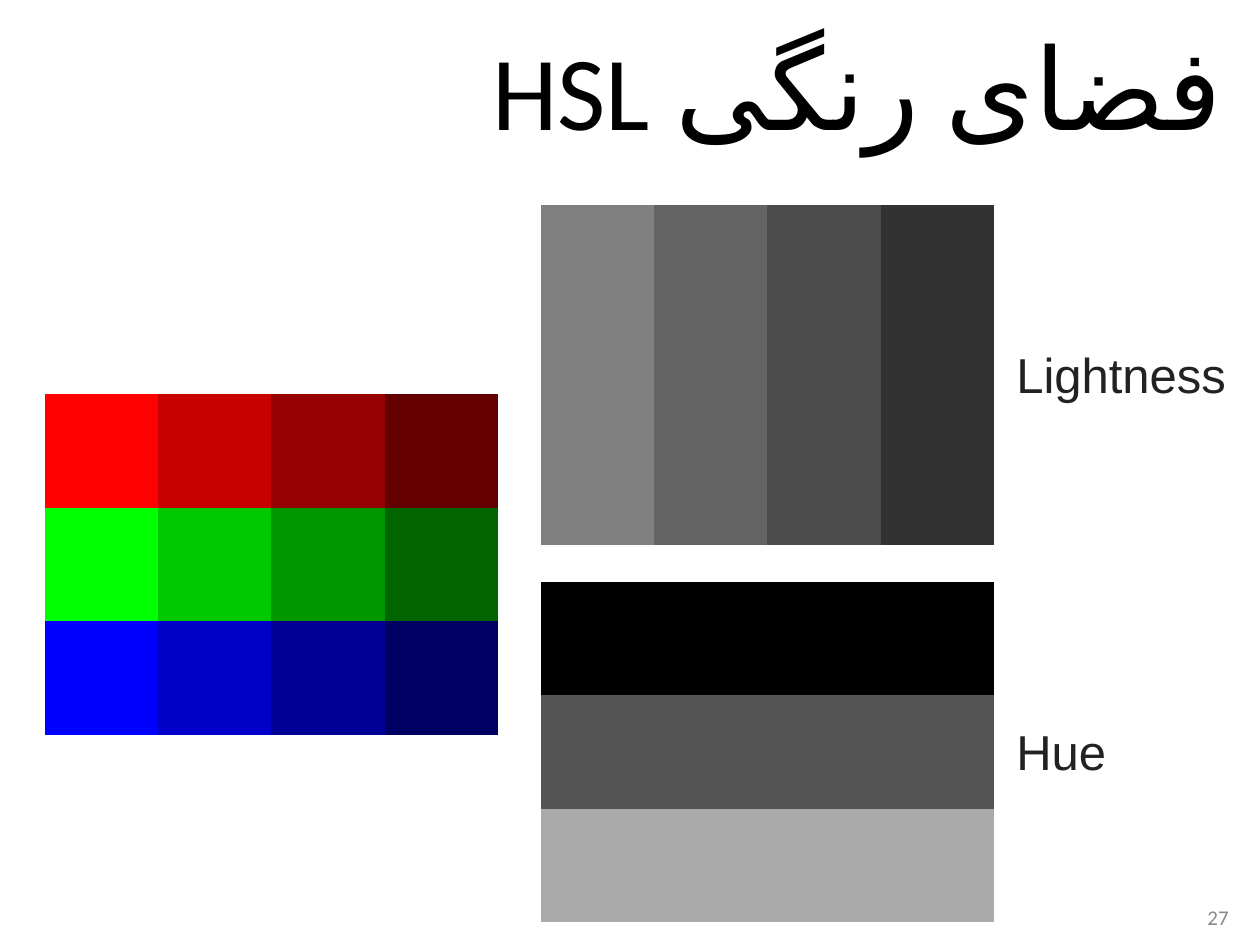
"""Builds the slide on the HSL colour space with its lightness and hue grids."""
from lxml.etree import SubElement
from pptx import Presentation
from pptx.dml.color import RGBColor
from pptx.enum.lang import MSO_LANGUAGE_ID as Language
from pptx.enum.text import MSO_ANCHOR as Anchor, MSO_AUTO_SIZE as AutoSize, PP_ALIGN as Align
from pptx.oxml.ns import qn
from pptx.util import Cm, Pt

BLACK = RGBColor(0x00, 0x00, 0x00)
LABEL_INK = RGBColor(0x22, 0x22, 0x22)
NUMBER_GRAY = RGBColor(0x89, 0x89, 0x89)
REDS = [RGBColor(0xFF, 0x01, 0x01)] + [RGBColor(v, 0, 0) for v in (200, 150, 100)]
GREENS = [RGBColor(0, v, 0) for v in (255, 200, 150, 100)]
BLUES = [RGBColor(0, 0, v) for v in (255, 200, 150, 100)]
LIGHTNESS_GRAYS = [RGBColor(v, v, v) for v in (0x80, 0x64, 0x4B, 0x32)]
HUE_GRAYS = [RGBColor(v, v, v) for v in (0x00, 0x55, 0xAA)]

GRID_WIDTH, GRID_HEIGHT = 9.14, 6.86
GRID_LEFT = 10.9
LABEL_LEFT = 20.24
PLAIN_TABLE = "{2D5ABB26-0587-4C30-8999-92F81FD0307C}"


class SlideBuilder:
    """Holds the fonts and the current slide."""

    heading_font = "Calibri"
    label_font = "Arial"

    def __init__(self, slide):
        self.slide = slide

    def title(self, persian, latin):
        title = self.slide.shapes.title
        title.left, title.top, title.width, title.height = Cm(-0.05), Cm(0.13), Cm(25.45), Cm(3.18)
        frame = title.text_frame
        frame.auto_size = AutoSize.NONE
        frame.vertical_anchor = Anchor.MIDDLE
        heading = frame.paragraphs[0]
        heading.alignment = Align.JUSTIFY
        properties = heading._p.get_or_add_pPr()
        properties.set("rtl", "1")
        properties.set("marL", str(Cm(0.5)))
        properties.set("indent", "0")
        for words, size, language in (
            (persian, 65, Language.FARSI),
            (latin, 60, Language.ENGLISH_US),
        ):
            run = heading.add_run()
            run.text = words
            run.font.size = Pt(size)
            run.font.name = self.heading_font
            run.font.color.rgb = BLACK
            run.font.language_id = language
            complex_script = SubElement(run._r.get_or_add_rPr(), qn("a:cs"))
            complex_script.set("typeface", self.heading_font)

    def text(self, words, left, top, width, height, size, font, color):
        frame = self.slide.shapes.add_textbox(Cm(left), Cm(top), Cm(width), Cm(height)).text_frame
        paragraph = frame.paragraphs[0]
        paragraph.text = words
        paragraph.font.size = Pt(size)
        paragraph.font.name = font
        paragraph.font.color.rgb = color
        return frame

    def label(self, words, top, width):
        frame = self.text(words, LABEL_LEFT, top, width, 1.45, 28, self.label_font, LABEL_INK)
        frame.word_wrap = False
        frame.auto_size = AutoSize.SHAPE_TO_FIT_TEXT

    def page_number(self, number):
        frame = self.text(number, 19.1, 17.98, 5.92, 1.02, 12, self.heading_font, NUMBER_GRAY)
        frame.word_wrap = True
        frame.vertical_anchor = Anchor.MIDDLE
        frame.paragraphs[0].alignment = Align.RIGHT

    def color_grid(self, left, top, colors):
        grid = self.slide.shapes.add_table(
            len(colors), len(colors[0]), Cm(left), Cm(top), Cm(GRID_WIDTH), Cm(GRID_HEIGHT)
        ).table
        grid.first_row = grid.horz_banding = False
        grid._tbl.tblPr[0].text = PLAIN_TABLE
        for r, row_colors in enumerate(colors):
            for c, color in enumerate(row_colors):
                fill = grid.cell(r, c).fill
                fill.solid()
                fill.fore_color.rgb = color


def main():
    deck = Presentation()
    deck.slide_width, deck.slide_height = Cm(25.4), Cm(19.05)
    builder = SlideBuilder(deck.slides.add_slide(deck.slide_layouts[5]))
    builder.title("فضای رنگی ", "HSL")
    builder.page_number("27")
    builder.color_grid(0.9, 7.95, [REDS, GREENS, BLUES])
    builder.color_grid(GRID_LEFT, 4.13, [LIGHTNESS_GRAYS] * 3)
    builder.color_grid(GRID_LEFT, 11.73, [[gray] * 4 for gray in HUE_GRAYS])
    builder.label("Lightness", 6.83, 4.8)
    builder.label("Hue", 14.43, 2.34)
    deck.save("out.pptx")


if __name__ == "__main__":
    main()
